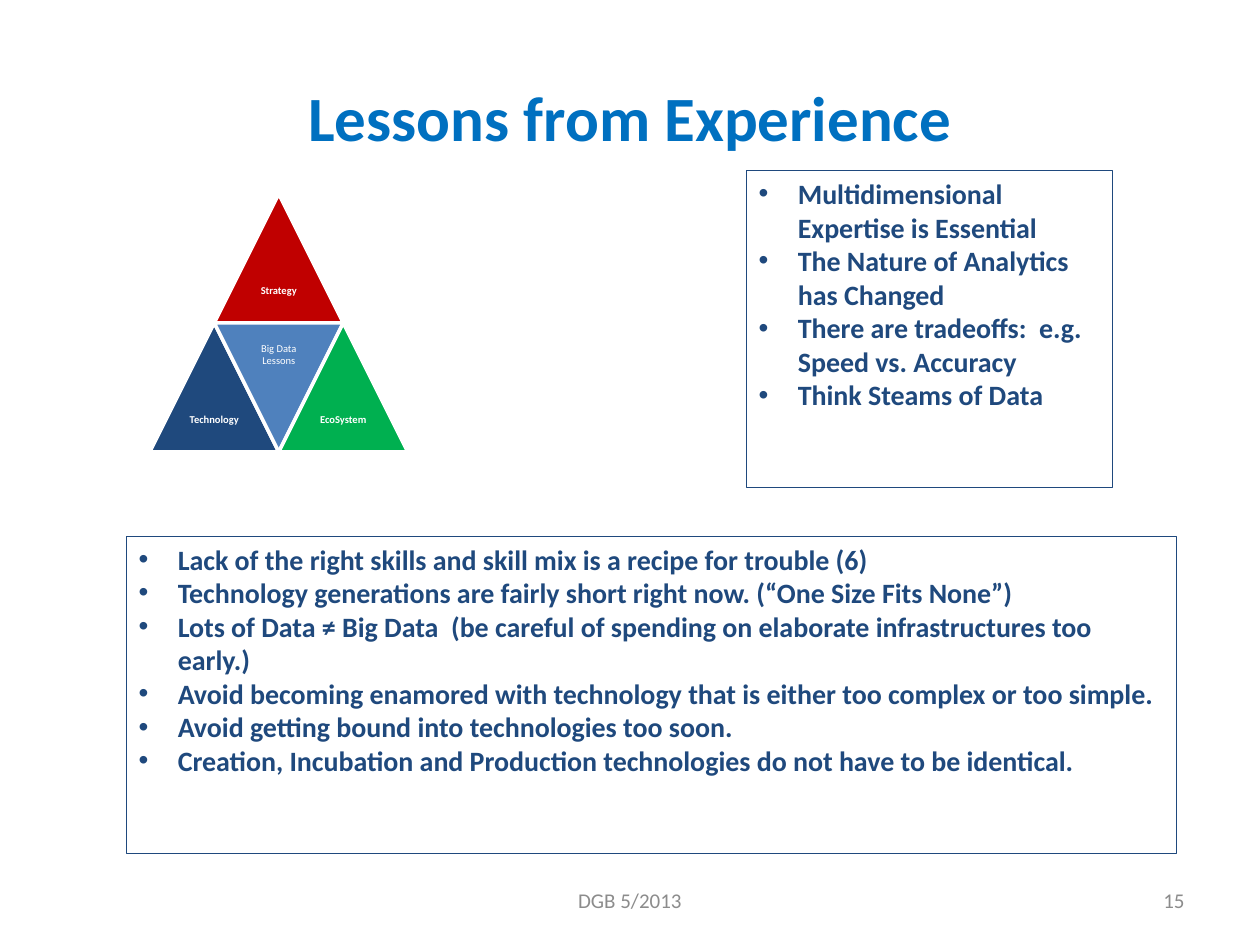
"""Build the slide on lessons from experience with big data."""
from dataclasses import dataclass

from lxml.etree import SubElement
from pptx import Presentation
from pptx.dml.color import RGBColor
from pptx.enum.shapes import MSO_SHAPE
from pptx.enum.text import MSO_ANCHOR, MSO_AUTO_SIZE, PP_ALIGN
from pptx.oxml.ns import qn
from pptx.util import Cm, Pt

COLORS = {
    "title": "0070C0",
    "navy": "1F497D",
    "red": "C00000",
    "blue": "4F81BD",
    "green": "00B050",
    "white": "FFFFFF",
    "gray": "8C8C8C",
}
FONT = "Calibri"
SIDE = 2.6
PYRAMID_LEFT, PYRAMID_TOP = 3.02, 3.91
INDENT = Cm(0.79)


@dataclass(frozen=True)
class Triangle:
    label: str
    color: str
    column: int
    row: int
    inverted: bool = False


@dataclass(frozen=True)
class BulletList:
    placeholder: int
    left: float
    top: float
    width: float
    height: float
    items: tuple[str, ...]


@dataclass(frozen=True)
class Note:
    text: str
    left: float
    width: float
    align: PP_ALIGN


TRIANGLES = (
    Triangle("Strategy", "red", 1, 0),
    Triangle("Technology", "navy", 0, 1),
    Triangle("Big Data Lessons", "blue", 1, 1, inverted=True),
    Triangle("EcoSystem", "green", 2, 1),
)
LISTS = (
    BulletList(1, 15.04, 3.43, 7.39, 6.4, (
        "Multidimensional Expertise is Essential",
        "The Nature of Analytics has Changed",
        "There are tradeoffs:  e.g. Speed vs. Accuracy",
        "Think Steams of Data",
    )),
    BulletList(2, 2.54, 10.8, 21.17, 6.4, (
        "Lack of the right skills and skill mix is a recipe for trouble (6)",
        "Technology generations are fairly short right now. (“One Size Fits None”)",
        "Lots of Data ≠ Big Data  (be careful of spending on elaborate infrastructures too early.)",
        "Avoid becoming enamored with technology that is either too complex or too simple.",
        "Avoid getting bound into technologies too soon.",
        "Creation, Incubation and Production technologies do not have to be identical.",
    )),
)
NOTES = (
    Note("DGB 5/2013", 8.68, 8.04, PP_ALIGN.CENTER),
    Note("15", 18.2, 5.93, PP_ALIGN.RIGHT),
)


def rgb(name: str) -> RGBColor:
    return RGBColor.from_string(COLORS[name])


def place(shape, left: float, top: float, width: float, height: float) -> None:
    shape.left, shape.top = Cm(left), Cm(top)
    shape.width, shape.height = Cm(width), Cm(height)


def write(box, *lines: str, size: float, color: str, bold: bool = False,
          align: PP_ALIGN = PP_ALIGN.LEFT, anchor: MSO_ANCHOR = MSO_ANCHOR.MIDDLE,
          spacing: float = 1.0, margin: float | None = None,
          bullets: bool = False) -> None:
    frame = box.text_frame
    frame.word_wrap = True
    frame.auto_size = MSO_AUTO_SIZE.NONE
    frame.vertical_anchor = anchor
    if margin is not None:
        frame.margin_left = frame.margin_right = Cm(margin)
        frame.margin_top = frame.margin_bottom = Cm(margin)
    for index, line in enumerate(lines):
        paragraph = frame.paragraphs[0] if index == 0 else frame.add_paragraph()
        paragraph.alignment = align
        paragraph.line_spacing = spacing
        paragraph.space_before = Pt(0)
        if bullets:
            properties = paragraph._p.get_or_add_pPr()
            properties.set("marL", str(INDENT))
            properties.set("indent", str(-INDENT))
            SubElement(properties, qn("a:buFont"), typeface="Arial")
            SubElement(properties, qn("a:buChar"), char="•")
        span = paragraph.add_run()
        span.text = line
        span.font.name = FONT
        span.font.size = Pt(size)
        span.font.bold = bold
        span.font.color.rgb = rgb(color)


def draw_triangle(group, triangle: Triangle) -> None:
    left = PYRAMID_LEFT + triangle.column * SIDE / 2
    top = PYRAMID_TOP + triangle.row * SIDE
    shape = group.shapes.add_shape(
        MSO_SHAPE.ISOSCELES_TRIANGLE, Cm(left), Cm(top), Cm(SIDE), Cm(SIDE))
    shape.shadow.inherit = False
    shape.rotation = 180 if triangle.inverted else 0
    shape.fill.solid()
    shape.fill.fore_color.rgb = rgb(triangle.color)
    shape.line.color.rgb = rgb("white")
    shape.line.width = Pt(2)
    label_top = top if triangle.inverted else top + SIDE / 2
    label = group.shapes.add_textbox(
        Cm(left + SIDE / 4), Cm(label_top), Cm(SIDE / 2), Cm(SIDE / 2))
    write(label, triangle.label, size=6, color="white", bold=not triangle.inverted,
          align=PP_ALIGN.CENTER, spacing=0.9, margin=0.06)


def draw_list(page, block: BulletList) -> None:
    box = page.placeholders[block.placeholder]
    place(box, block.left, block.top, block.width, block.height)
    box.line.color.rgb = rgb("navy")
    box.line.width = Pt(0.25)
    write(box, *block.items, size=16, color="navy", bold=True,
          anchor=MSO_ANCHOR.TOP, bullets=True)


def draw_note(page, note: Note) -> None:
    box = page.shapes.add_textbox(Cm(note.left), Cm(17.65), Cm(note.width), Cm(1.01))
    write(box, note.text, size=12, color="gray", align=note.align)


def main() -> None:
    deck = Presentation()
    deck.slide_width, deck.slide_height = Cm(25.4), Cm(19.05)
    page = deck.slides.add_slide(deck.slide_layouts.get_by_name("Two Content"))
    title = page.shapes.title
    place(title, 1.27, 0.76, 22.86, 3.18)
    write(title, "Lessons from Experience", size=36, color="title", bold=True,
          align=PP_ALIGN.CENTER)
    pyramid = page.shapes.add_group_shape()
    for triangle in TRIANGLES:
        draw_triangle(pyramid, triangle)
    for block in LISTS:
        draw_list(page, block)
    for note in NOTES:
        draw_note(page, note)
    deck.save("out.pptx")


if __name__ == "__main__":
    main()
